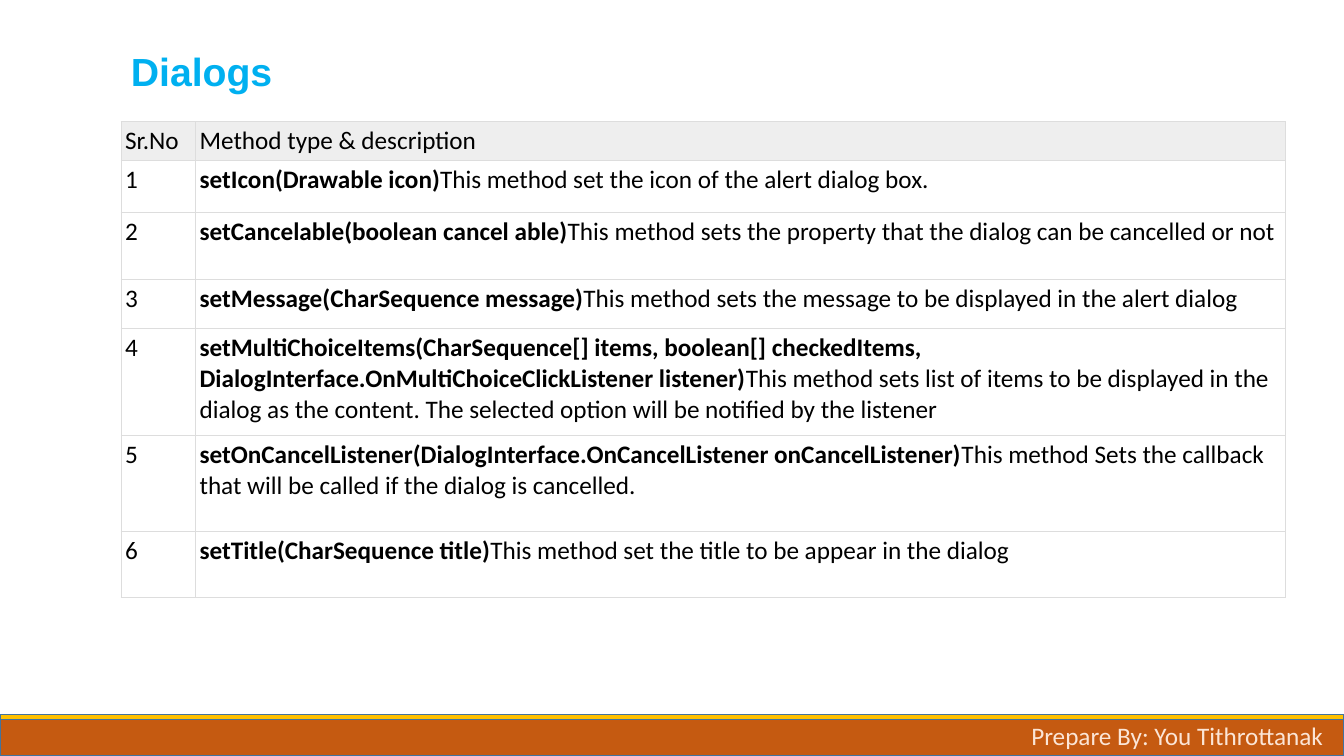
from dataclasses import dataclass

from lxml import etree
from pptx import Presentation
from pptx.dml.color import RGBColor
from pptx.enum.shapes import MSO_SHAPE
from pptx.enum.text import MSO_ANCHOR, MSO_AUTO_SIZE
from pptx.oxml.ns import qn
from pptx.util import Inches, Pt

RECT = MSO_SHAPE.RECTANGLE
MIDDLE = MSO_ANCHOR.MIDDLE
GROW = MSO_AUTO_SIZE.SHAPE_TO_FIT_TEXT


@dataclass(frozen=True)
class Theme:
    title: str = "00B0F0"
    text: str = "000000"
    head: str = "EEEEEE"
    grid: str = "DDDDDD"
    bar: str = "C55A11"
    strip: str = "FFC000"
    edge: str = "43739E"
    credit: str = "FBE5D6"
    title_font: str = "Arial"
    body_font: str = "Calibri"
    title_size: float = 28
    body_size: float = 18
    grid_width: float = 0.75


@dataclass(frozen=True)
class Band:
    height: float
    fill: str


@dataclass(frozen=True)
class Label:
    text: str
    left: float
    top: float
    width: float
    height: float
    font: str
    size: float
    color: str
    bold: bool = False


@dataclass(frozen=True)
class Method:
    name: str
    about: str
    height: float


THEME = Theme()
WIDTH, HEIGHT = 13.33, 7.5
BAR_TOP = 7.09
LEFT, TABLE_TOP = 1.2, 1.21
COLUMNS = (0.74, 10.81)
HEAD_HEIGHT = 0.38
MARGIN = 0.04

BANDS = (Band(0.41, THEME.bar), Band(0.05, THEME.strip))
TITLE = Label("Dialogs", LEFT, 0.31, 11, 0.84,
              THEME.title_font, THEME.title_size, THEME.title, True)
CREDIT = Label("Prepare By: You Tithrottanak", 10.13, 7.1, 3.21, 0.4,
               THEME.body_font, THEME.body_size, THEME.credit)
HEADS = ("Sr.No", "Method type & description")
METHODS = (
    Method("setIcon(Drawable icon)",
           "This method set the icon of the alert dialog box.", 0.52),
    Method("setCancelable(boolean cancel able)",
           "This method sets the property that the dialog can be cancelled or not", 0.66),
    Method("setMessage(CharSequence message)",
           "This method sets the message to be displayed in the alert dialog", 0.49),
    Method("setMultiChoiceItems(CharSequence[] items, boolean[] checkedItems, "
           "DialogInterface.OnMultiChoiceClickListener listener)",
           "This method sets list of items to be displayed in the dialog as the content. "
           "The selected option will be notified by the listener", 1.06),
    Method("setOnCancelListener(DialogInterface.OnCancelListener onCancelListener)",
           "This method Sets the callback that will be called if the dialog is cancelled.", 0.95),
    Method("setTitle(CharSequence title)",
           "This method set the title to be appear in the dialog", 0.66),
)


def style(run, font: str, size: float, color: str, bold: bool = False) -> None:
    run.font.name = font
    run.font.size = Pt(size)
    run.font.color.rgb = RGBColor.from_string(color)
    run.font.bold = bold


def draw_band(slide, band: Band) -> None:
    shape = slide.shapes.add_shape(
        RECT, 0, Inches(BAR_TOP), Inches(WIDTH), Inches(band.height))
    shape.shadow.inherit = False
    shape.fill.solid()
    shape.fill.fore_color.rgb = RGBColor.from_string(band.fill)
    shape.line.color.rgb = RGBColor.from_string(THEME.edge)
    shape.line.width = Pt(1)


def draw_label(slide, label: Label):
    box = slide.shapes.add_textbox(Inches(label.left), Inches(label.top),
                                   Inches(label.width), Inches(label.height))
    frame = box.text_frame
    frame.word_wrap = True
    frame.text = label.text
    style(frame.paragraphs[0].runs[0], label.font, label.size, label.color, label.bold)
    return frame


def add_grid(cell) -> None:
    props = cell._tc.get_or_add_tcPr()
    for side in ("a:lnL", "a:lnR", "a:lnT", "a:lnB"):
        line = etree.SubElement(props, qn(side), w=str(Pt(THEME.grid_width)))
        fill = etree.SubElement(line, qn("a:solidFill"))
        etree.SubElement(fill, qn("a:srgbClr"), val=THEME.grid)


def fill_cell(cell, text: str, about: str = "", head: bool = False) -> None:
    cell.margin_left = cell.margin_right = Inches(MARGIN)
    cell.margin_top = cell.margin_bottom = Inches(MARGIN)
    add_grid(cell)
    if head:
        cell.fill.solid()
        cell.fill.fore_color.rgb = RGBColor.from_string(THEME.head)
    else:
        cell.fill.background()
    para = cell.text_frame.paragraphs[0]
    para.text = text
    style(para.runs[0], THEME.body_font, THEME.body_size, THEME.text, bool(about))
    if about:
        run = para.add_run()
        run.text = about
        style(run, THEME.body_font, THEME.body_size, THEME.text)


def draw_table(slide) -> None:
    heights = [HEAD_HEIGHT] + [method.height for method in METHODS]
    table = slide.shapes.add_table(
        len(heights), len(COLUMNS), Inches(LEFT), Inches(TABLE_TOP),
        Inches(sum(COLUMNS)), Inches(sum(heights))).table
    table.first_row = table.horz_banding = False
    for column, width in zip(table.columns, COLUMNS):
        column.width = Inches(width)
    for row, height in zip(table.rows, heights):
        row.height = Inches(height)
    for index, text in enumerate(HEADS):
        fill_cell(table.cell(0, index), text, head=True)
    for number, method in enumerate(METHODS, 1):
        fill_cell(table.cell(number, 0), str(number))
        fill_cell(table.cell(number, 1), method.name, method.about)


def main() -> None:
    deck = Presentation()
    deck.slide_width, deck.slide_height = Inches(WIDTH), Inches(HEIGHT)
    slide = deck.slides.add_slide(deck.slide_layouts[6])
    for band in BANDS:
        draw_band(slide, band)
    title = draw_label(slide, TITLE)
    title.vertical_anchor = MIDDLE
    title.paragraphs[0].line_spacing = 0.9
    draw_table(slide)
    draw_label(slide, CREDIT).auto_size = GROW
    deck.save("out.pptx")


if __name__ == "__main__":
    main()
